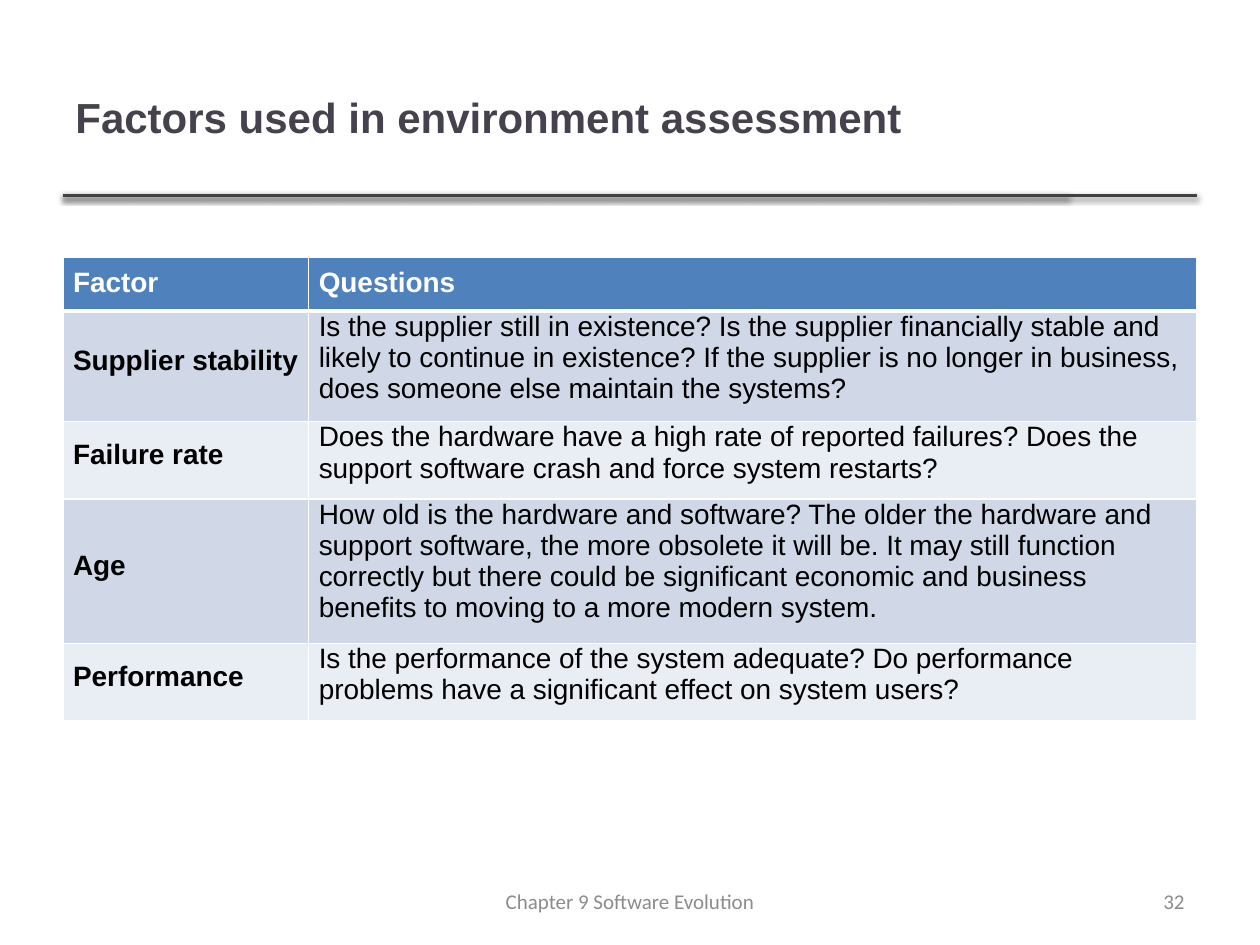
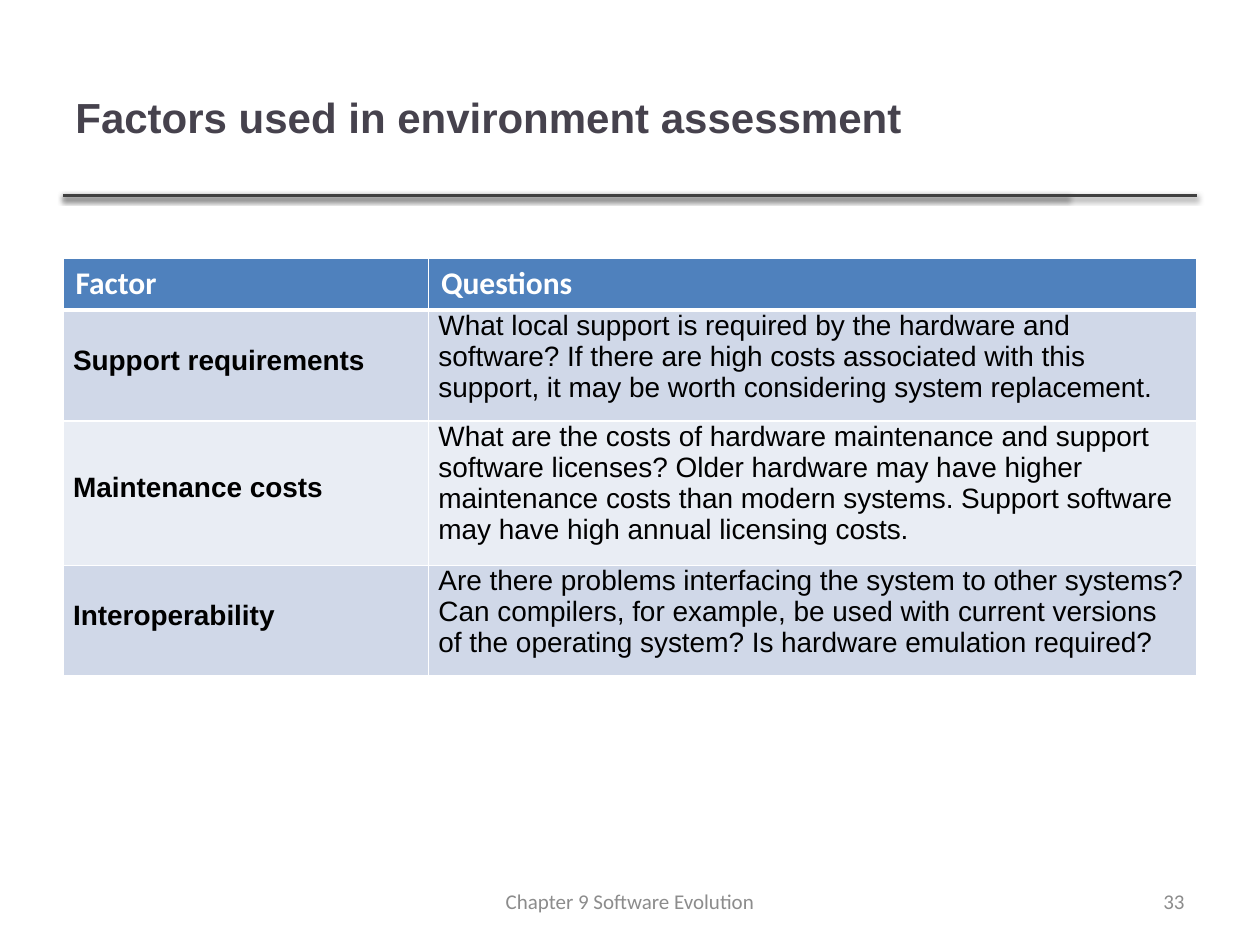
from lxml.etree import fromstring
from pptx import Presentation
from pptx.dml.color import RGBColor
from pptx.enum.shapes import MSO_CONNECTOR
from pptx.enum.text import MSO_ANCHOR as Anchor, PP_ALIGN as Align
from pptx.util import Inches, Pt

DRAWING = 'xmlns:a="http://schemas.openxmlformats.org/drawingml/2006/main"'
INK, RULE, MUTED, BLACK, WHITE = "46424D", "404040", "8C8C8C", "000000", "FFFFFF"
HEADER, BANDS = "4F81BD", ("D0D8E8", "E9EDF4")


def paint(target, color):
    target.rgb = RGBColor.from_string(color)


def write(frame, text, font, color, paragraph_format):
    frame.word_wrap = True
    paragraph = frame.paragraphs[0]
    run = paragraph.add_run()
    run.text = text
    for target, values in ((paragraph, paragraph_format), (run.font, font)):
        for attribute, value in values.items():
            setattr(target, attribute, value)
    paint(run.font.color, color)


title_font = {"name": "Arial", "size": Pt(24), "bold": True}
factor_font = {"name": "Arial", "size": Pt(16), "bold": True}
question_font = {**factor_font, "bold": False}
large_header_font = {"name": "Calibri", "size": Pt(18), "bold": True}
footer_font = {"name": "Calibri", "size": Pt(12), "bold": False}

spaced = {"space_after": Pt(6)}
inset = Inches(0.08)
header_cell = {"margin_left": inset, "margin_right": inset,
               "margin_top": inset, "margin_bottom": inset}
question_cell = {**header_cell, "margin_top": 0}
factor_cell = {**question_cell, "vertical_anchor": Anchor.MIDDLE}

shadow = (f'<a:effectLst {DRAWING}><a:outerShdw blurRad="39370" dist="20320" '
          'dir="5400000" rotWithShape="0"><a:srgbClr val="000000">'
          '<a:alpha val="38000"/></a:srgbClr></a:outerShdw></a:effectLst>')

title = "Factors used in environment assessment"
footer = "Chapter 9 Software Evolution"
assessments = [
    {
        "number": "32", "top": 2.04, "factor_width": 1.95,
        "header_font": factor_font, "header_cell": header_cell,
        "header_spacing": spaced,
        "factors": [
            ("Supplier stability",
             "Is the supplier still in existence? Is the supplier financially "
             "stable and likely to continue in existence? If the supplier is no "
             "longer in business, does someone else maintain the systems?"),
            ("Failure rate",
             "Does the hardware have a high rate of reported failures? Does the "
             "support software crash and force system restarts?"),
            ("Age",
             "How old is the hardware and software? The older the hardware and "
             "support software, the more obsolete it will be. It may still "
             "function correctly but there could be significant economic and "
             "business benefits to moving to a more modern system."),
            ("Performance",
             "Is the performance of the system adequate? Do performance problems "
             "have a significant effect on system users?"),
        ],
    },
    {
        "number": "33", "top": 2.05, "factor_width": 2.9,
        "header_font": large_header_font, "header_cell": {},
        "header_spacing": {},
        "factors": [
            ("Support requirements",
             "What local support is required by the hardware and software? If "
             "there are high costs associated with this support, it may be worth "
             "considering system replacement."),
            ("Maintenance costs",
             "What are the costs of hardware maintenance and support software "
             "licenses? Older hardware may have higher maintenance costs than "
             "modern systems. Support software may have high annual licensing "
             "costs."),
            ("Interoperability",
             "Are there problems interfacing the system to other systems? Can "
             "compilers, for example, be used with current versions of the "
             "operating system? Is hardware emulation required?"),
        ],
    },
]

deck = Presentation()
deck.slide_width, deck.slide_height = Inches(10), Inches(7.5)
margin = Inches(0.5)
content_width = deck.slide_width - 2 * margin
title_width = Inches(7.98)
title_top, rule_y = Inches(0.3), Inches(1.55)
footer_top, footer_height = Inches(6.95), Inches(0.4)
chapter_width, number_width = Inches(3.17), Inches(2.33)
row_height = Inches(0.41)

for assessment in assessments:
    slide = deck.slides.add_slide(deck.slide_layouts[6])

    for rule_width in (title_width, content_width):
        rule = slide.shapes.add_connector(
            MSO_CONNECTOR.STRAIGHT, margin, rule_y, margin + rule_width, rule_y)
        paint(rule.line.color, RULE)
        rule.line.width = Pt(2)
        rule._element.spPr.append(fromstring(shadow))

    labels = [
        (title, margin, title_top, title_width, rule_y - title_top,
         title_font, INK, Align.LEFT),
        (footer, (deck.slide_width - chapter_width) // 2, footer_top,
         chapter_width, footer_height, footer_font, MUTED, Align.CENTER),
        (assessment["number"], margin + content_width - number_width, footer_top,
         number_width, footer_height, footer_font, MUTED, Align.RIGHT),
    ]
    for text, left, top, width, height, font, color, alignment in labels:
        frame = slide.shapes.add_textbox(left, top, width, height).text_frame
        frame.vertical_anchor = Anchor.MIDDLE
        write(frame, text, font, color, {"alignment": alignment})

    rows = [("Factor", "Questions"), *assessment["factors"]]
    table = slide.shapes.add_table(
        len(rows), 2, margin, Inches(assessment["top"]), content_width,
        row_height * len(rows)).table
    table.horz_banding = False
    factor_width = Inches(assessment["factor_width"])
    table.columns[0].width = factor_width
    table.columns[1].width = content_width - factor_width

    for row, texts in enumerate(rows):
        for column, text in enumerate(texts):
            if row == 0:
                font, color, fill = assessment["header_font"], WHITE, HEADER
                cell_format = assessment["header_cell"]
                spacing = assessment["header_spacing"]
            else:
                font = (factor_font, question_font)[column]
                cell_format = (factor_cell, question_cell)[column]
                color, fill, spacing = BLACK, BANDS[(row - 1) % 2], spaced
            cell = table.cell(row, column)
            for attribute, value in cell_format.items():
                setattr(cell, attribute, value)
            write(cell.text_frame, text, font, color, spacing)
            cell.fill.solid()
            paint(cell.fill.fore_color, fill)
            for position, side in enumerate("LRTB"):
                below_header = (row, side) in ((0, "B"), (1, "T"))
                weight = Pt(3 if below_header else 1)
                cell._tc.tcPr.insert(position, fromstring(
                    f'<a:ln{side} {DRAWING} w="{weight}"><a:solidFill>'
                    f'<a:srgbClr val="{WHITE}"/></a:solidFill></a:ln{side}>'))

deck.save("out.pptx")
